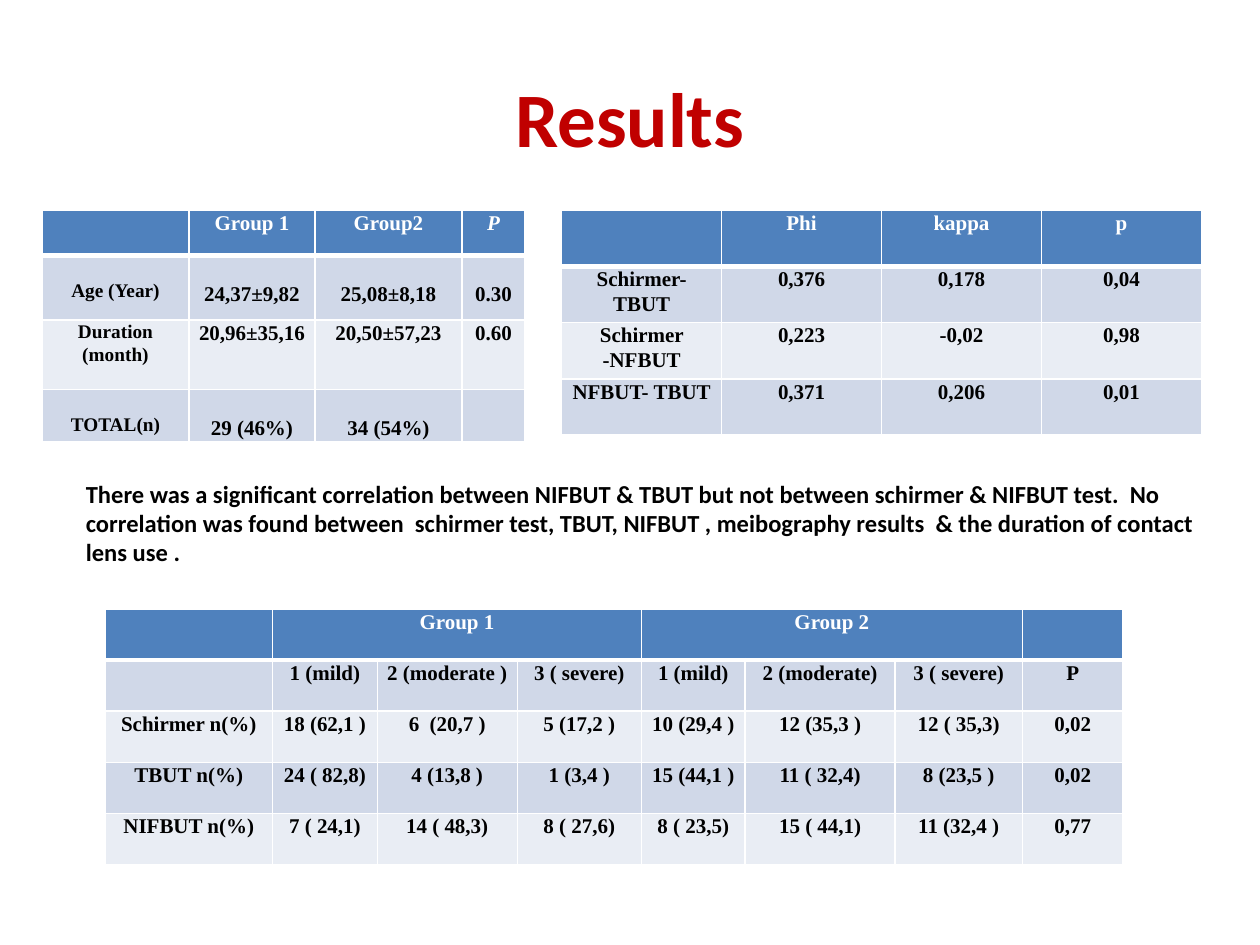
from pptx import Presentation
from pptx.dml.color import RGBColor
from pptx.enum.text import MSO_ANCHOR as ANCHOR, PP_ALIGN as ALIGN
from pptx.oxml import parse_xml
from pptx.oxml.ns import nsdecls
from pptx.util import Pt

RED = RGBColor(0xC0, 0x00, 0x00)
BLACK = RGBColor(0x00, 0x00, 0x00)
WHITE = RGBColor(0xFF, 0xFF, 0xFF)
BLUE = RGBColor(0x4F, 0x81, 0xBD)
BANDS = [RGBColor(0xE9, 0xED, 0xF4), RGBColor(0xD0, 0xD8, 0xE8)]


def write(tf, text, size=12, font="Times New Roman", color=BLACK, italic=False,
          align=ALIGN.CENTER, spacing=1.07):
    tf.word_wrap = True
    p = tf.paragraphs[0]
    p.alignment = align
    p.line_spacing = spacing
    r = p.add_run()
    r.text = text
    r.font.size = Pt(size)
    r.font.name = font
    r.font.bold = True
    r.font.italic = italic
    r.font.color.rgb = color


def set_borders(cell, row):
    tc_pr = cell._tc.get_or_add_tcPr()
    for side in "LRTB":
        width = 3 if (row, side) in [(0, "B"), (1, "T")] else 1
        tc_pr.append(parse_xml(
            f'<a:ln{side} {nsdecls("a")} w="{Pt(width)}"><a:solidFill>'
            f'<a:srgbClr val="{WHITE}"/></a:solidFill></a:ln{side}>'))


prs = Presentation()
prs.slide_width, prs.slide_height = Pt(720), Pt(540)
s = prs.slides.add_slide(prs.slide_layouts[5])

title = s.shapes.title
title.left, title.top, title.width, title.height = Pt(36), Pt(21.6), Pt(648), Pt(90)
title.text_frame.vertical_anchor = ANCHOR.MIDDLE
write(title.text_frame, "Results", size=44, font="Calibri", color=RED, spacing=1)

groups = dict(
    left=24, top=120, widths=[84, 72, 84, 36], heights=[26, 37, 39.5, 30],
    merges=[], label_size=11, lowered_rows=[1, 3],
    rows=[
        ["", "Group 1", "Group2", "P"],
        ["Age (Year)", "24,37±9,82", "25,08±8,18", "0.30"],
        ["Duration (month)", "20,96±35,16", "20,50±57,23", "0.60"],
        ["TOTAL(n)", "29 (46%)", "34 (54%)", ""],
    ])
severity = dict(
    left=60, top=348, widths=[95.8, 59.8, 80, 71, 59.3, 85.7, 72.7, 57.6],
    heights=[29.2] * 5, merges=[(1, 3), (4, 6)], label_size=12, lowered_rows=[],
    rows=[
        ["", "Group 1", "", "", "Group 2", "", "", ""],
        ["", "1 (mild)", "2 (moderate )", "3 ( severe)",
         "1 (mild)", "2 (moderate)", "3 ( severe)", "P"],
        ["Schirmer n(%)", "18 (62,1 )", "6  (20,7 )", "5 (17,2 )",
         "10 (29,4 )", "12 (35,3 )", "12 ( 35,3)", "0,02"],
        ["TBUT n(%)", "24 ( 82,8)", "4 (13,8 )", "1 (3,4 )",
         "15 (44,1 )", "11 ( 32,4)", "8 (23,5 )", "0,02"],
        ["NIFBUT n(%)", "7 ( 24,1)", "14 ( 48,3)", "8 ( 27,6)",
         "8 ( 23,5)", "15 ( 44,1)", "11 (32,4 )", "0,77"],
    ])
agreement = dict(
    left=321, top=120, widths=[91.4] * 4, heights=[32.2] * 4,
    merges=[], label_size=12, lowered_rows=[],
    rows=[
        ["", "Phi", "kappa", "p"],
        ["Schirmer- TBUT", "0,376", "0,178", "0,04"],
        ["Schirmer -NFBUT", "0,223", "-0,02", "0,98"],
        ["NFBUT- TBUT", "0,371", "0,206", "0,01"],
    ])

for t in (groups, severity, agreement):
    rows, widths, heights = t["rows"], t["widths"], t["heights"]
    table = s.shapes.add_table(len(rows), len(widths), Pt(t["left"]), Pt(t["top"]),
                               Pt(sum(widths)), Pt(sum(heights))).table
    for column, width in zip(table.columns, widths):
        column.width = Pt(width)
    for i, (values, height) in enumerate(zip(rows, heights)):
        table.rows[i].height = Pt(height)
        for j, value in enumerate(values):
            cell = table.cell(i, j)
            size = t["label_size"] if j == 0 else 12
            cell.margin_left = cell.margin_right = Pt(5)
            cell.margin_bottom = Pt(0)
            lowered = value and i in t["lowered_rows"]
            cell.margin_top = Pt(size * 1.23 if lowered else 0)
            set_borders(cell, i)
            cell.fill.solid()
            cell.fill.fore_color.rgb = BANDS[i % 2] if i else BLUE
            if value:
                write(cell.text_frame, value, size=size, color=BLACK if i else WHITE,
                      italic=i == 0 and value == "P")
    for first, last in t["merges"]:
        table.cell(0, first).merge(table.cell(0, last))

summary = s.shapes.add_textbox(Pt(42), Pt(270), Pt(648), Pt(58))
write(summary.text_frame,
      "There was a significant correlation between NIFBUT & TBUT but not between "
      "schirmer & NIFBUT test.  No correlation was found between  schirmer test, "
      "TBUT, NIFBUT , meibography results  & the duration of contact lens use .",
      size=14, font="Calibri", align=ALIGN.LEFT, spacing=1)

prs.save("out.pptx")
